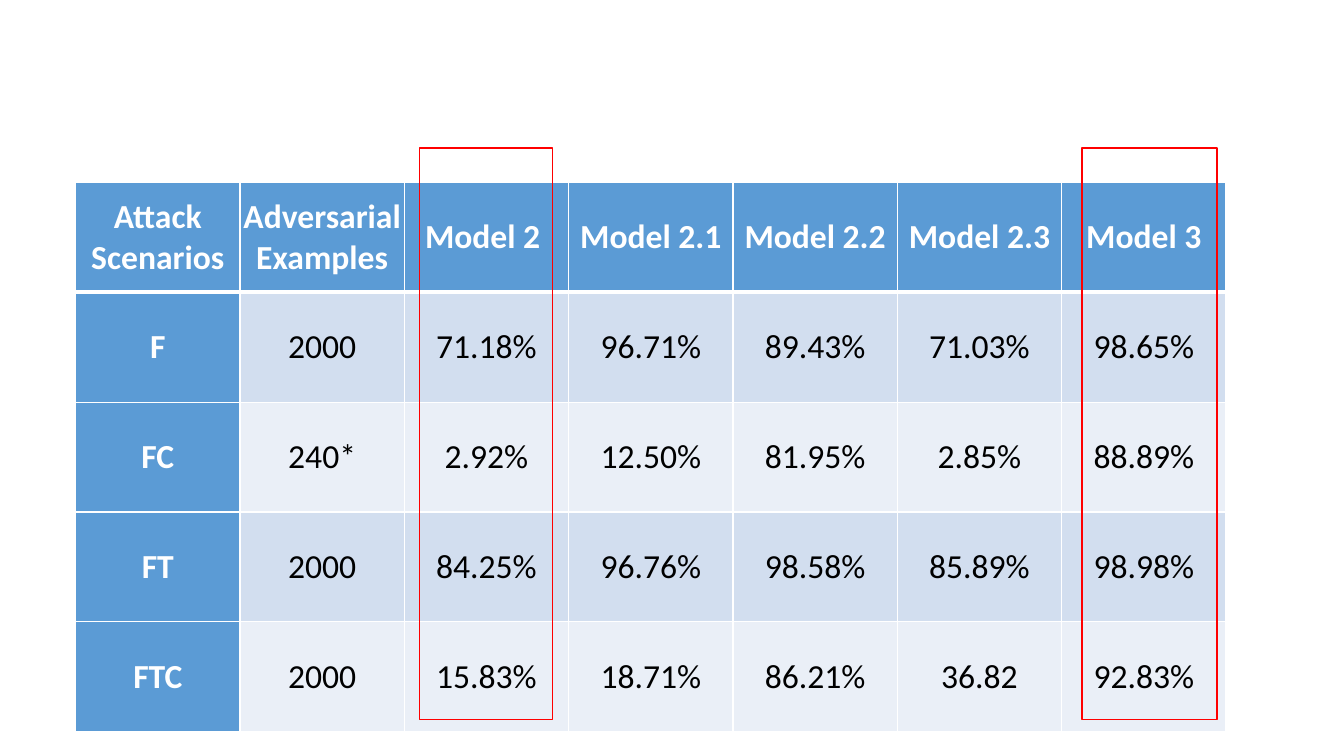
"""Build a slide with a table of detection rates per attack scenario."""
from lxml import etree
from pptx import Presentation
from pptx import util as u
from pptx.dml.color import RGBColor
from pptx.enum import shapes, text
from pptx.oxml import ns

BLUE, WHITE, BLACK, RED = "5B9BD5", "FFFFFF", "000000", "FF0000"
BANDS = ("D2DEEF", "EAEFF7")
RATES = [
    ["Attack Scenarios", "Adversarial Examples", "Model 2 ", "Model 2.1",
     "Model 2.2", "Model 2.3", "Model 3"],
    ["F", "2000", "71.18%", "96.71%", "89.43%", "71.03%", "98.65%"],
    ["FC", "240*", "2.92%", "12.50%", "81.95%", "2.85%", "88.89%"],
    ["FT", "2000", "84.25%", "96.76%", "98.58%", "85.89%", "98.98%"],
    ["FTC", "2000", "15.83%", "18.71%", "86.21%", "36.82", "92.83%"],
]


def px(n):
    return u.Emu(n * 9144)


def tint(code):
    return RGBColor.from_string(code)


class Deck:
    def __init__(self, wide, high, font, size):
        self.font, self.size = font, size
        self.prs = Presentation()
        self.prs.slide_width, self.prs.slide_height = px(wide), px(high)
        self.slide = self.prs.slides.add_slide(self.prs.slide_layouts[6])

    def edge(self, cell, side, width):
        props = cell._tc.get_or_add_tcPr()
        line = etree.SubElement(props, ns.qn(f"a:ln{side}"), w=str(u.Pt(width)))
        fill = etree.SubElement(line, ns.qn("a:solidFill"))
        etree.SubElement(fill, ns.qn("a:srgbClr"), val=WHITE)

    def cell(self, cell, words, row, col):
        head = row == 0 or col == 0
        top, base = (3 if row == 1 else 1), (3 if row == 0 else 1)
        for side, width in zip("LRTB", (1, 1, top, base)):
            self.edge(cell, side, width)
        cell.fill.solid()
        cell.fill.fore_color.rgb = tint(BLUE if head else BANDS[(row - 1) % 2])
        cell.margin_left = cell.margin_right = 0
        cell.margin_top = cell.margin_bottom = 0
        cell.vertical_anchor = text.MSO_ANCHOR.MIDDLE
        para = cell.text_frame.paragraphs[0]
        para.alignment = text.PP_ALIGN.CENTER
        run = para.add_run()
        run.text = words
        run.font.name, run.font.size = self.font, u.Pt(self.size)
        run.font.bold = head
        run.font.color.rgb = tint(WHITE if head else BLACK)

    def table(self, left, top, wide, high, data):
        rows, cols = len(data), len(data[0])
        grid = self.slide.shapes.add_table(
            rows, cols, px(left), px(top), px(wide * cols), px(high * rows)).table
        for col in grid.columns:
            col.width = px(wide)
        for r, line in enumerate(data):
            grid.rows[r].height = px(high)
            for c, words in enumerate(line):
                self.cell(grid.cell(r, c), words, r, c)

    def frame(self, left, top, wide, high, color):
        box = self.slide.shapes.add_shape(
            shapes.MSO_SHAPE.RECTANGLE, px(left), px(top), px(wide), px(high))
        box.shadow.inherit = False
        box.fill.background()
        box.line.color.rgb = tint(color)
        box.line.width = u.Pt(1)

    def save(self):
        self.prs.save("out.pptx")


def main():
    deck = Deck(1333, 750, "Calibri", 24)
    deck.table(75, 181, 163, 109, RATES)
    for left, wide in ((416, 132), (1073, 134)):
        deck.frame(left, 147, wide, 567, RED)
    deck.save()


if __name__ == "__main__":
    main()
